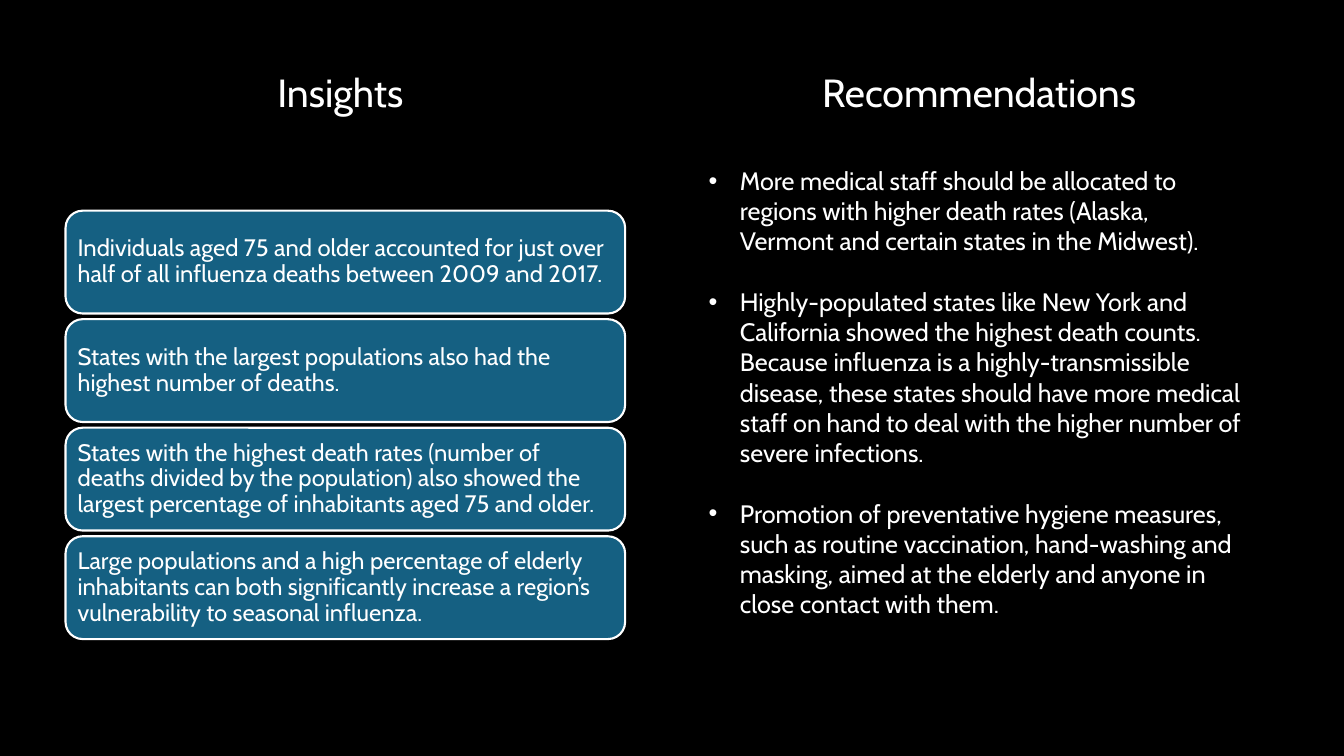
"""Build a slide of influenza insights and recommendations."""
from dataclasses import dataclass

from lxml.etree import SubElement as Sub
from pptx import Presentation
from pptx.dml.color import RGBColor as Rgb
from pptx.enum.shapes import MSO_SHAPE as Form
from pptx.enum.text import MSO_ANCHOR as Anchor, PP_ALIGN as Align
from pptx.oxml.ns import qn
from pptx.slide import Slide
from pptx.util import Inches, Pt

WHITE, BLACK, BLUE = "FFFFFF", "000000", "156082"
FONT = "Cabin"
INDENT = Inches(0.31)


@dataclass
class Head:
    text: str
    left: float
    width: float


@dataclass
class Card:
    text: str
    top: float


HEADS = [Head("Insights", 0.92, 4.91), Head("Recommendations", 6.67, 6.08)]
FIRST, STEP = 2.09, 3.23 / 3
INSIGHTS = [
    "Individuals aged 75 and older accounted for just over half of all "
    "influenza deaths between 2009 and 2017.",
    "States with the largest populations also had the highest number of deaths.",
    "States with the highest death rates (number of deaths divided by the "
    "population) also showed the largest percentage of inhabitants aged 75 and older.",
    "Large populations and a high percentage of elderly inhabitants can both "
    "significantly increase a region’s vulnerability to seasonal influenza.",
]
CARDS = [Card(text, FIRST + i * STEP) for i, text in enumerate(INSIGHTS)]
ADVICE = [
    "More medical staff should be allocated to regions with higher death rates "
    "(Alaska, Vermont and certain states in the Midwest).",
    "Highly-populated states like New York and California showed the highest "
    "death counts. Because influenza is a highly-transmissible disease, these "
    "states should have more medical staff on hand to deal with the higher "
    "number of severe infections.",
    "Promotion of preventative hygiene measures, such as routine vaccination, "
    "hand-washing and masking, aimed at the elderly and anyone in close contact "
    "with them.",
]


def paint(target, color: str) -> None:
    target.solid()
    target.fore_color.rgb = Rgb.from_string(color)


def style(para, size: float, align: Align = Align.LEFT, space: float = 1) -> None:
    para.alignment = align
    para.line_spacing = space
    para.font.name = FONT
    para.font.size = Pt(size)
    paint(para.font.fill, WHITE)


def add_head(slide: Slide, head: Head) -> None:
    box = slide.shapes.add_textbox(
        Inches(head.left), Inches(0.4), Inches(head.width), Inches(1.08))
    frame = box.text_frame
    frame.word_wrap = True
    frame.vertical_anchor = Anchor.MIDDLE
    frame.text = head.text
    style(frame.paragraphs[0], 28, Align.CENTER, 0.9)


def add_card(slide: Slide, card: Card) -> None:
    shape = slide.shapes.add_shape(
        Form.ROUNDED_RECTANGLE,
        Inches(0.65), Inches(card.top), Inches(5.55), Inches(1.02))
    shape.shadow.inherit = False
    paint(shape.fill, BLUE)
    paint(shape.line.fill, WHITE)
    shape.line.width = Pt(1.5)
    frame = shape.text_frame
    frame.word_wrap = True
    frame.vertical_anchor = Anchor.MIDDLE
    frame.margin_left = frame.margin_right = Inches(0.07)
    frame.margin_top = frame.margin_bottom = Inches(0.07)
    frame.text = card.text
    style(frame.paragraphs[0], 17, space=0.9)


def add_list(slide: Slide, items: list[str]) -> None:
    box = slide.shapes.add_textbox(
        Inches(6.93), Inches(1.59), Inches(5.55), Inches(4.64))
    frame = box.text_frame
    frame.word_wrap = True
    frame.text = "\n".join(items)
    for i, para in enumerate(frame.paragraphs):
        style(para, 18)
        para.space_before = Pt(21.6 if i else 0)
        props = para._p.get_or_add_pPr()
        props.set("marL", str(INDENT))
        props.set("indent", str(-INDENT))
        Sub(props, qn("a:buFont"), typeface="Arial")
        Sub(props, qn("a:buChar"), char="•")
        props.append(props.find(qn("a:defRPr")))


def main() -> None:
    deck = Presentation()
    deck.slide_width, deck.slide_height = Inches(13.33), Inches(7.5)
    slide = deck.slides.add_slide(deck.slide_layouts[6])
    paint(slide.background.fill, BLACK)
    for head in HEADS:
        add_head(slide, head)
    add_list(slide, ADVICE)
    for card in CARDS:
        add_card(slide, card)
    deck.save("out.pptx")


if __name__ == "__main__":
    main()
